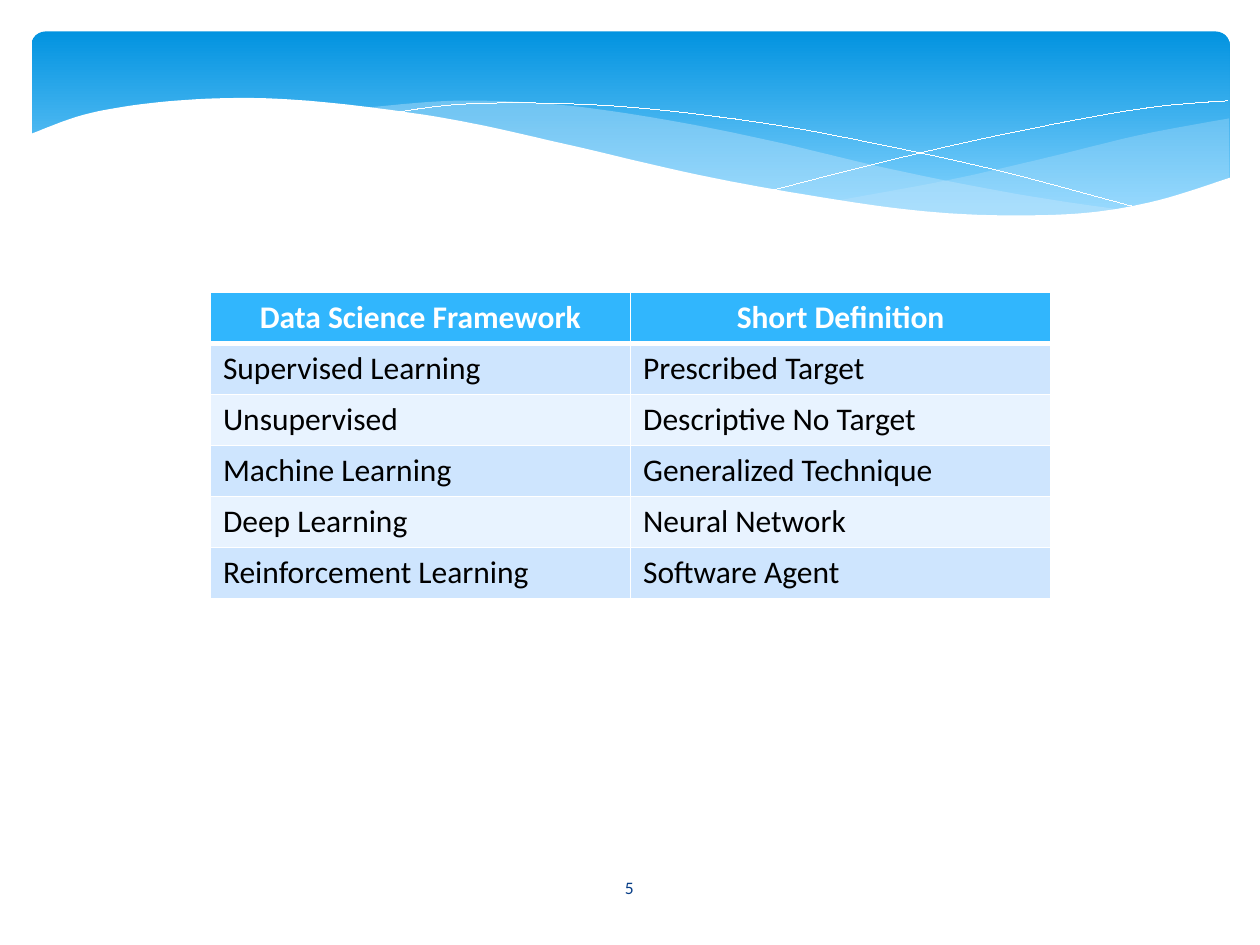
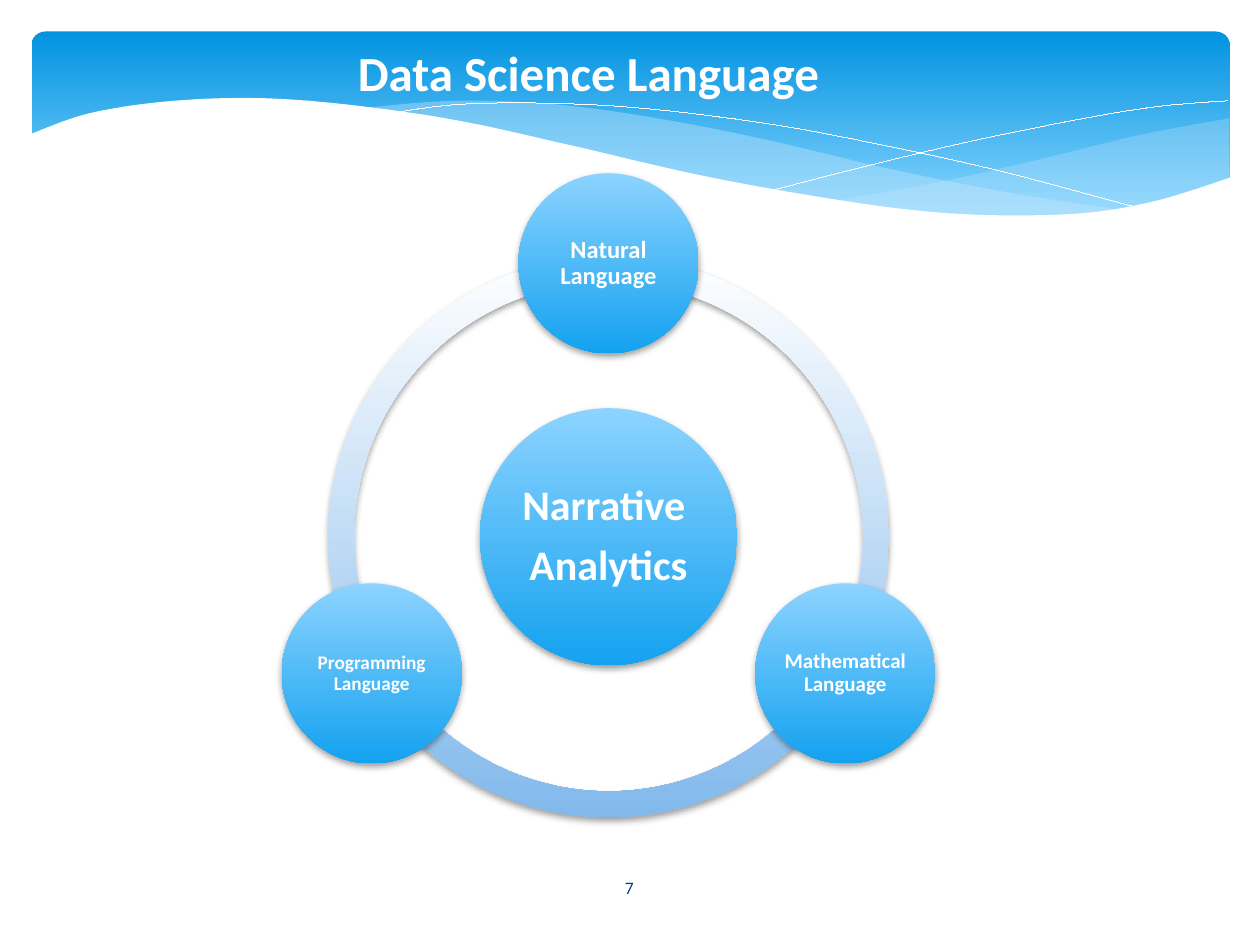
import math

from lxml import etree
from pptx import Presentation
from pptx import util as u
from pptx.dml.color import RGBColor
from pptx.enum import shapes, text
from pptx.oxml import ns

# Shared look
FONT = "Calibri"
WHITE, BLACK, NAVY = "FFFFFF", "000000", "073E87"
BAND = ("0293E0", "83D3FE")
BALL = ("8CD3FF", "14A2EF")
RING = (WHITE, "82B9EC")
MIST = "C6E7FC"
HEAD, ODD, EVEN = "31B6FD", "CEE5FE", "E8F3FF"
MID, LEFT = text.PP_ALIGN.CENTER, text.PP_ALIGN.LEFT
TOP, CENTER = text.MSO_ANCHOR.TOP, text.MSO_ANCHOR.MIDDLE
OVAL, ARC = shapes.MSO_SHAPE.OVAL, shapes.MSO_SHAPE.BLOCK_ARC
ROUND = shapes.MSO_SHAPE.ROUNDED_RECTANGLE

# Knots of the wave curves, in inches
EAST_TOP = [(9.76, 0.94), (9.06, 1.07), (8.32, 1.25), (7.53, 1.43),
            (6.61, 1.6)]
EAST_LOW = [(6.61, 1.6), (7.32, 1.68), (8.03, 1.72), (8.72, 1.69),
            (9.28, 1.58), (9.76, 1.41)]
WEST_TOP = [(8.93, 1.67), (8.07, 1.54), (7.06, 1.34), (6.13, 1.12),
            (5.28, 0.95), (4.42, 0.83), (3.61, 0.8), (2.86, 0.86)]
WEST_LOW = [(2.86, 0.86), (3.62, 0.97), (4.49, 1.16), (5.3, 1.35),
            (6.18, 1.53), (7.09, 1.66), (7.96, 1.73), (8.93, 1.67)]
FALL = [(3.09, 0.9), (3.63, 0.83), (4.33, 0.82), (5.1, 0.86), (6.08, 0.98),
        (6.95, 1.14), (7.95, 1.36), (9.07, 1.66)]
RISE = [(6.13, 1.51), (6.95, 1.3), (7.76, 1.11), (8.66, 0.93), (9.24, 0.84),
        (9.75, 0.8)]
FRONT = [(9.77, 1.41), (9.2, 1.59), (8.63, 1.69), (7.93, 1.71), (7.26, 1.67),
         (6.48, 1.56), (5.55, 1.39), (4.47, 1.14), (3.65, 0.96), (2.92, 0.85),
         (2.3, 0.79), (1.77, 0.78), (1.19, 0.82), (0.67, 0.91), (0.23, 1.07)]
FLOOR = [(0.23, 2.24), (9.77, 2.24)]

# Content
ROWS = [
    ("Data Science Framework", "Short Definition"),
    ("Supervised Learning", "Prescribed Target"),
    ("Unsupervised ", "Descriptive No Target"),
    ("Machine Learning", "Generalized Technique"),
    ("Deep Learning", "Neural Network"),
    ("Reinforcement Learning", "Software Agent")]
# Clockwise from the top, each with its text size
TONGUES = [("Natural Language", 14), ("Mathematical Language", 12),
           ("Programming Language", 11)]


# Basic helpers
def rgb(hue):
    return RGBColor.from_string(hue)


def box(*sides):
    return [u.Inches(side) for side in sides]


def sub(node, tag, **attrs):
    return etree.SubElement(node, ns.qn(tag), **attrs)


def paint(item, hue):
    item.fill.solid()
    item.fill.fore_color.rgb = rgb(hue)


def write(frame, words, size, hue, bold=False, align=MID, anchor=CENTER):
    """Fill a text frame; each line of words becomes a paragraph."""
    frame.word_wrap = True
    frame.vertical_anchor = anchor
    frame.text = words
    for para in frame.paragraphs:
        font = para.font
        font.name, font.size, font.bold = FONT, u.Pt(size), bold
        font.color.rgb = rgb(hue)
        para.alignment = align


# Shapes
def preset(slide, kind, area, hues, end=1.0):
    """A preset shape with a gradient running from top to bottom."""
    shape = slide.shapes.add_shape(kind, *box(*area))
    shape.shadow.inherit = False
    shape.line.fill.background()
    shape.fill.gradient()
    shape.fill.gradient_angle = 270
    for stop, hue, pos in zip(shape.fill.gradient_stops, hues, (0, end)):
        stop.color.rgb, stop.position = rgb(hue), pos
    return shape


def shade(shape):
    """Soft shadow below the shape."""
    effect = shape.element.spPr.find(ns.qn("a:effectLst"))
    drop = sub(effect, "a:outerShdw", blurRad=str(u.Pt(4)),
               dist=str(u.Pt(2)), dir="5400000", rotWithShape="0")
    sub(sub(drop, "a:srgbClr", val=BLACK), "a:alpha", val="38000")


def curve(knots, steps=8):
    """Points on a smooth Catmull-Rom curve through the knots."""
    ends = [knots[0], *knots, knots[-1]]
    points = [knots[0]]
    for a, b, c, d in zip(ends, ends[1:], ends[2:], ends[3:]):
        for step in range(1, steps + 1):
            t = step / steps
            points.append(tuple(
                q + t / 2 * (r - p + t * (2 * p - 5 * q + 4 * r - s
                                          + t * (3 * q - p - 3 * r + s)))
                for p, q, r, s in zip(a, b, c, d)))
    return points


def trace(slide, points, closed):
    """A freeform; points are whole thousandths of an inch in the file."""
    dots = [(round(x * 1000), round(y * 1000)) for x, y in points]
    pen = slide.shapes.build_freeform(*dots[0], scale=u.Inches(0.001))
    pen.add_line_segments(dots[1:], close=closed)
    shape = pen.convert_to_shape()
    shape.shadow.inherit = False
    return shape


def wave(slide, points, hue, alpha=100):
    shape = trace(slide, points, True)
    shape.line.fill.background()
    paint(shape, hue)
    if alpha < 100:
        node = shape.element.spPr.find(ns.qn("a:solidFill"))[0]
        sub(node, "a:alpha", val=str(alpha * 1000))
    return shape


def hair(slide, points):
    shape = trace(slide, points, False)
    shape.fill.background()
    shape.line.color.rgb = rgb(WHITE)
    shape.line.width = 1  # thinnest width that is stored
    return shape


# Parts that the slides share
def header(prs, slide):
    """Draw the wave band, then move it behind everything on the master."""
    band = preset(slide, ROUND, (0.25, 0.25, 9.51, 1.56), BAND, 0.9)
    band.adjustments[0] = 0.071
    parts = [
        band,
        wave(slide, curve(EAST_TOP) + curve(EAST_LOW), MIST, 29),
        wave(slide, curve(WEST_TOP) + curve(WEST_LOW), MIST, 40),
        hair(slide, curve(FALL)),
        hair(slide, curve(RISE)),
        wave(slide, curve(FRONT) + FLOOR, WHITE)]
    tree = prs.slide_master.shapes.element
    for spot, part in enumerate(parts, 2):
        tree.insert(spot, part.element)


def number(slide, value):
    label = slide.shapes.add_textbox(*box(4.36, 6.84, 1.27, 0.4))
    write(label.text_frame, str(value), 10, NAVY)


def title(slide, words):
    shape = slide.shapes.title
    shape.left, shape.top, shape.width, shape.height = box(
        2.74, 0.29, 4.1, 0.57)
    write(shape.text_frame, words, 28, WHITE, True, LEFT, TOP)
    shape.text_frame.auto_size = text.MSO_AUTO_SIZE.NONE


# Table
def edge(cell, side, width):
    line = sub(cell._tc.get_or_add_tcPr(), "a:ln" + side, w=str(u.Pt(width)))
    sub(sub(line, "a:solidFill"), "a:srgbClr", val=WHITE)


def grid(slide, rows):
    """White rules, a heavy one below the head, and banded rows."""
    table = slide.shapes.add_table(
        len(rows), len(rows[0]), *box(1.67, 2.32, 6.67, 2.43)).table
    for r, row in enumerate(rows):
        head = r == 0
        for c, words in enumerate(row):
            cell = table.cell(r, c)
            for side in "LRTB":
                heavy = (r, side) in ((0, "B"), (1, "T"))
                edge(cell, side, 3 if heavy else 1)
            paint(cell, HEAD if head else ODD if r % 2 else EVEN)
            write(cell.text_frame, words, 18, WHITE if head else BLACK,
                  head, MID if head else LEFT, TOP)


# Cycle diagram
def arc(slide, x, y, size, start, sweep):
    shape = preset(slide, ARC, (x - size / 2, y - size / 2, size, size), RING)
    # An arc stores its angles as 0.6 per degree, then its thickness
    shape.adjustments[0] = start % 360 * 0.6
    shape.adjustments[1] = (start + sweep) % 360 * 0.6
    shape.adjustments[2] = 0.046
    shade(shape)


def ball(slide, x, y, size, words, points, inset):
    """A labelled circle centred on x, y."""
    shape = preset(slide, OVAL, (x - size / 2, y - size / 2, size, size), BALL)
    shade(shape)
    frame = shape.text_frame
    frame.margin_left = frame.margin_right = u.Inches(inset)
    frame.margin_top = frame.margin_bottom = u.Inches(inset)
    write(frame, words, points, WHITE, True)
    for para in frame.paragraphs:
        para.line_spacing = 0.9
        para.space_after = u.Pt(points * 0.35)


def cycle(slide, hub, labels):
    """Equal arcs that meet behind equally spaced balls, around a hub."""
    x, y, reach = 4.83, 4.26, 2.17
    sweep = 360 / len(labels)
    turns = [sweep * i - 90 for i in range(len(labels))]
    for turn in turns:
        arc(slide, x, y, 4.45, turn, sweep)
    ball(slide, x, y, 2.04, hub, 24, 0.03)
    for turn, (words, points) in zip(turns, labels):
        angle = math.radians(turn)
        ball(slide, x + reach * math.cos(angle), y + reach * math.sin(angle),
             1.43, words, points, 0.02)


def main():
    prs = Presentation()
    prs.slide_width, prs.slide_height = box(10, 7.5)
    plain, titled = prs.slide_layouts[6], prs.slide_layouts[5]

    # Table of frameworks
    first = prs.slides.add_slide(plain)
    header(prs, first)
    number(first, 5)
    grid(first, ROWS)

    # Ring of languages
    second = prs.slides.add_slide(titled)
    title(second, "Data Science Language")
    number(second, 7)
    cycle(second, "Narrative \nAnalytics", TONGUES)

    prs.save("out.pptx")


main()
